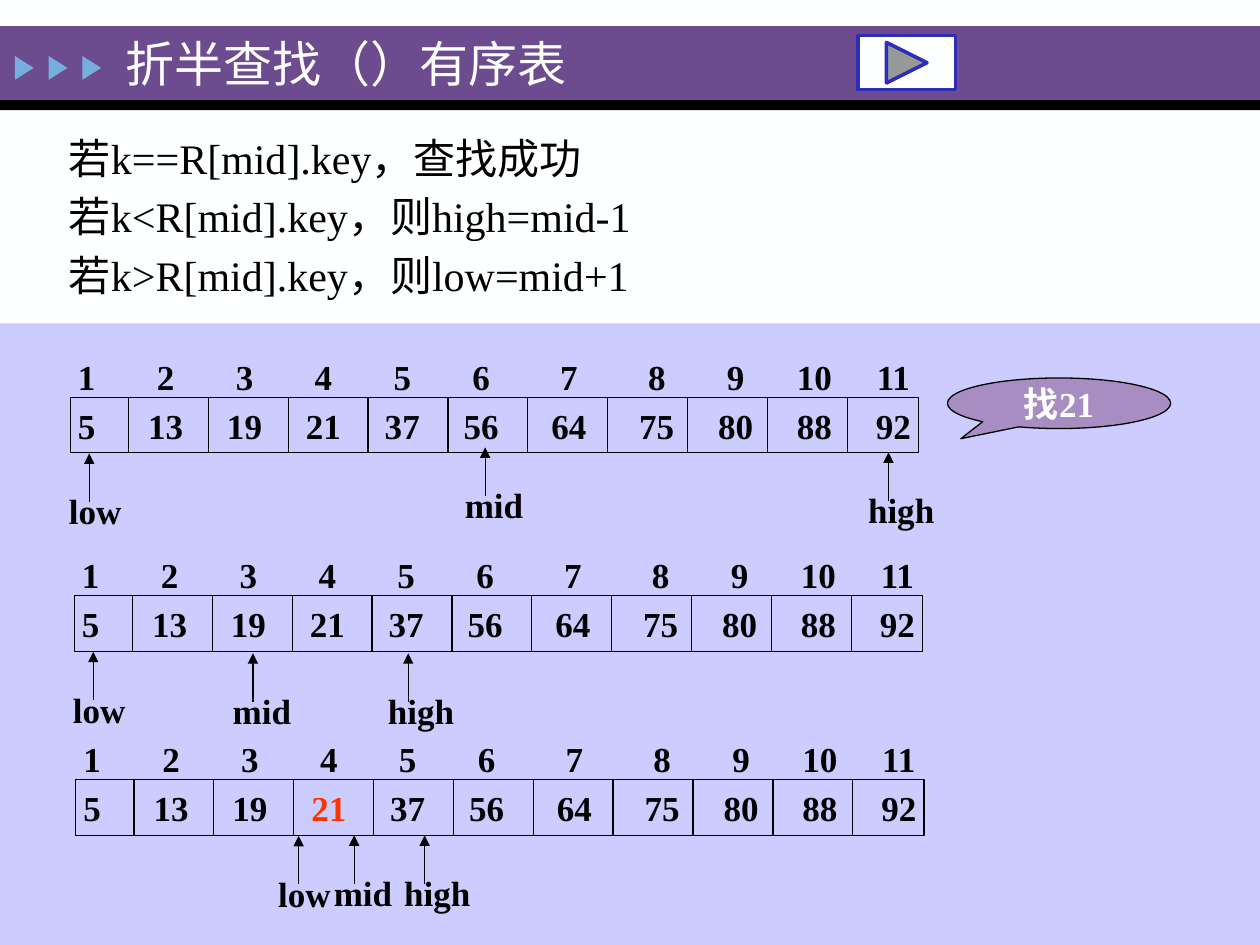
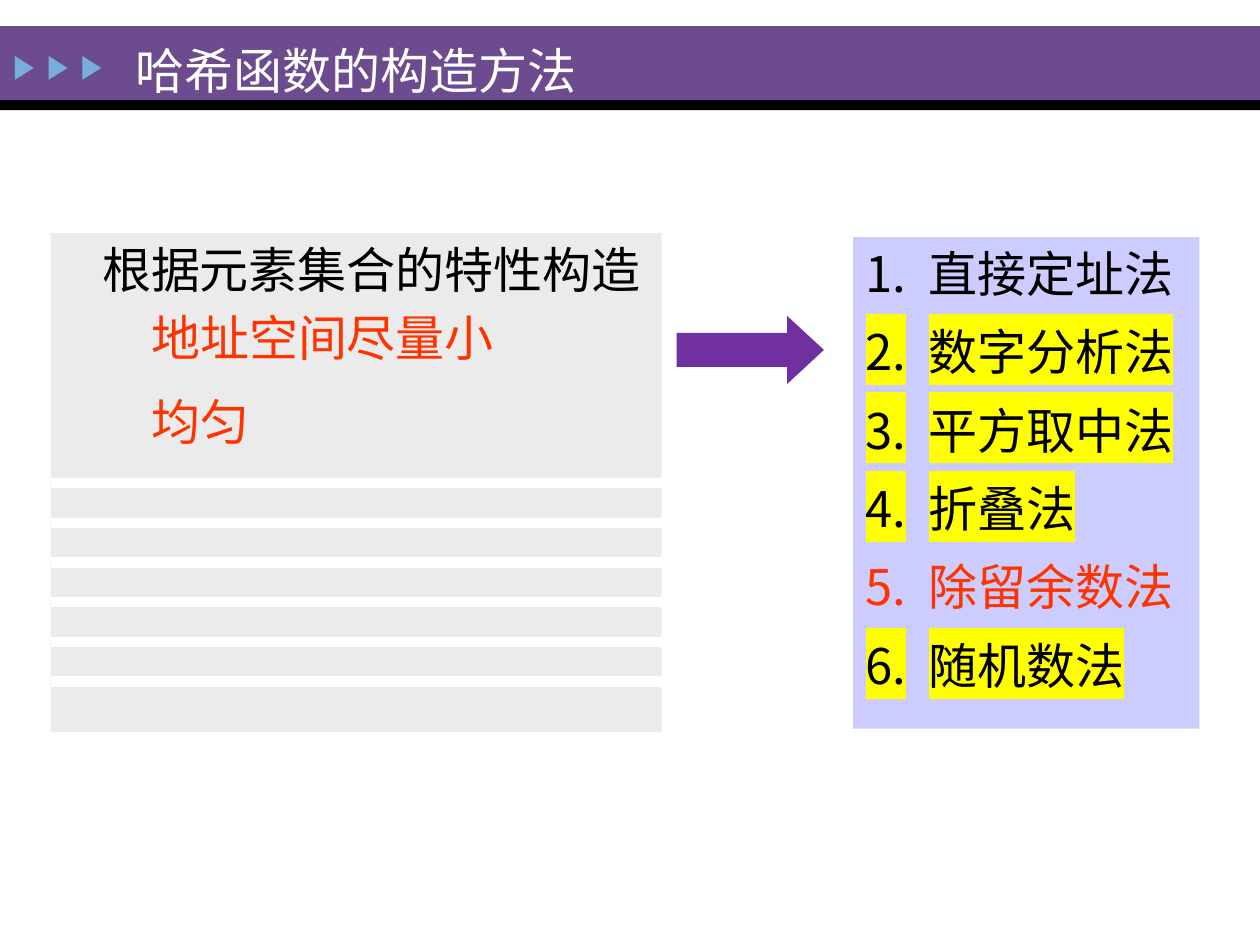
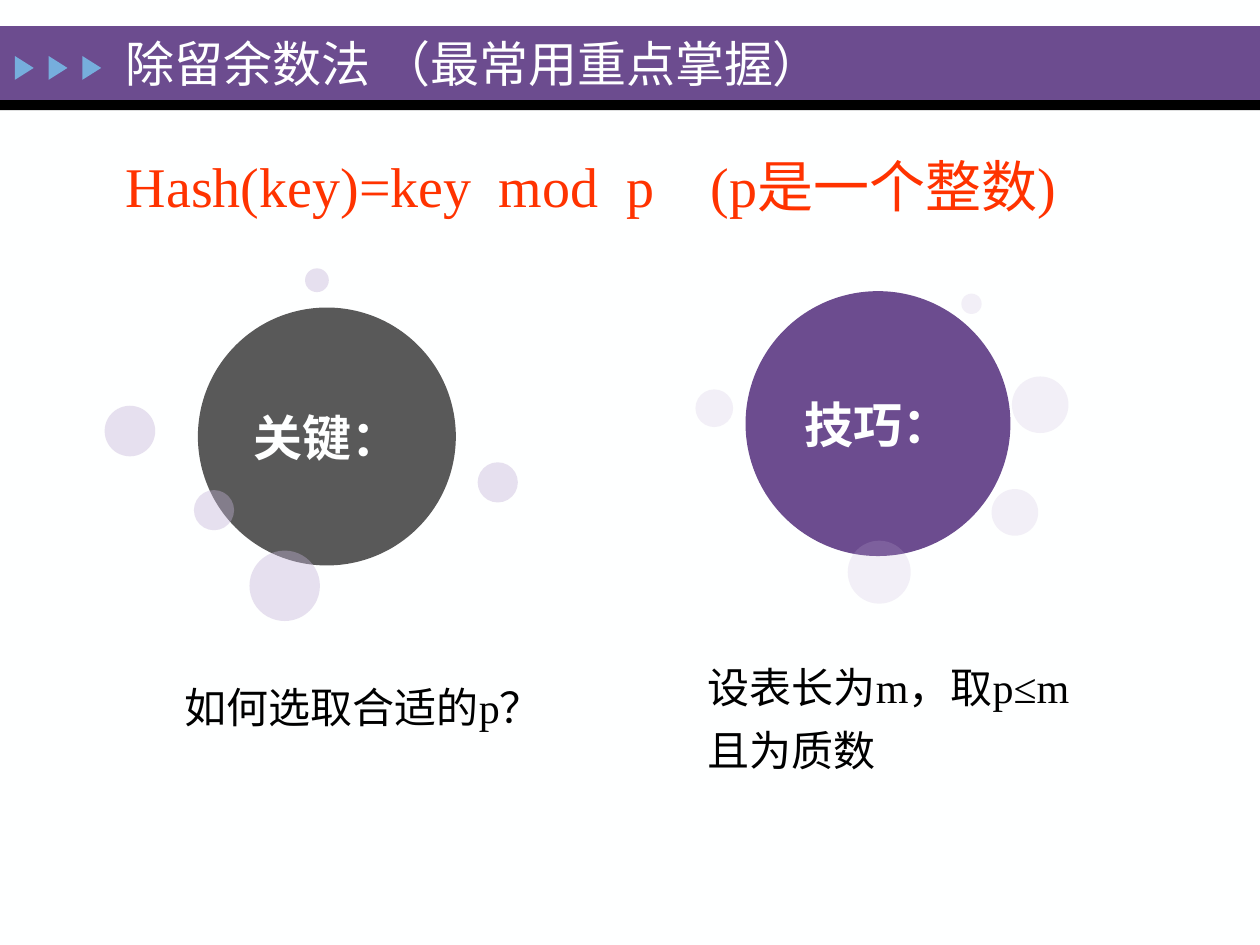
from lxml import etree
from pptx import Presentation
from pptx import util as u
from pptx.dml.color import RGBColor
from pptx.enum import shapes, text
from pptx.oxml import ns

WHITE = RGBColor(0xFE, 0xFF, 0xFF)
BLACK = RGBColor(0, 0, 0)
PURPLE = RGBColor(0x6C, 0x4C, 0x8F)
SKY = RGBColor(0x76, 0xAE, 0xDD)
LAVENDER = RGBColor(0xCC, 0xCC, 0xFF)
MAUVE = RGBColor(0xA7, 0x8D, 0xC2)
LILAC = RGBColor(0xC4, 0xB3, 0xD7)
RED = RGBColor(0xFF, 0x33, 0x00)
YELLOW = RGBColor(0xFF, 0xFF, 0x00)
PALE_GREY = RGBColor(0xEB, 0xEB, 0xEB)
DARK_GREY = RGBColor(0x59, 0x59, 0x59)
VIOLET = RGBColor(0x70, 0x30, 0xA0)
NAVY = RGBColor(0x2D, 0x2D, 0xB9)

FONT = "Times New Roman"
PRESET = shapes.MSO_SHAPE
MIDDLE = text.MSO_ANCHOR.MIDDLE
CENTER = text.PP_ALIGN.CENTER

KEYS = [5, 13, 19, 21, 37, 56, 64, 75, 80, 88, 92]
KEY_TABS = [0.18 + 1.59 * i + 0.18 * ((i > 5) + (i > 6)) for i in range(1, len(KEYS))]
LABEL_WIDTHS = {"low": 1.57, "mid": 1.68, "high": 1.85}


def add_figure(slide, preset, box, fill=None, line=None, width=0.75, alpha=None):
    figure = slide.shapes.add_shape(preset, *map(u.Cm, box))
    figure.shadow.inherit = False
    if fill is None:
        figure.fill.background()
    else:
        figure.fill.solid()
        figure.fill.fore_color.rgb = fill
    if line is None:
        figure.line.fill.background()
    else:
        figure.line.color.rgb = line
        figure.line.width = u.Pt(width)
    if alpha is not None:
        color = figure.fill._xPr.find(".//" + ns.qn("a:srgbClr"))
        etree.SubElement(color, ns.qn("a:alpha"), val=str(alpha * 1000))
    return figure


def add_line(slide, start, end, color=BLACK, width=0.75, arrow=False):
    line = slide.shapes.add_connector(
        shapes.MSO_CONNECTOR.STRAIGHT, *map(u.Cm, start + end))
    line.line.color.rgb = color
    line.line.width = u.Pt(width)
    if arrow:
        etree.SubElement(line.line._get_or_add_ln(), ns.qn("a:tailEnd"), type="triangle")
    etree.SubElement(line._element.spPr, ns.qn("a:effectLst"))


def add_text_frame(slide, box, anchor=text.MSO_ANCHOR.TOP, wrap=True):
    frame = slide.shapes.add_textbox(*map(u.Cm, box)).text_frame
    frame.word_wrap = wrap
    frame.vertical_anchor = anchor
    return frame


def write(frame, runs, size, color=BLACK, bold=False, align=text.PP_ALIGN.LEFT,
          before=0, highlight=None):
    first = not frame.paragraphs[0].runs
    paragraph = frame.paragraphs[0] if first else frame.add_paragraph()
    paragraph.alignment = align
    if before and not first:
        paragraph.space_before = u.Pt(before)
    for content, run_color in [(runs, color)] if isinstance(runs, str) else runs:
        run = paragraph.add_run()
        run.text = content
        run.font.name = FONT
        run.font.size = u.Pt(size)
        run.font.bold = bold
        run.font.color.rgb = run_color
        if highlight is not None:
            mark = etree.Element(ns.qn("a:highlight"))
            etree.SubElement(mark, ns.qn("a:srgbClr"), val=str(highlight))
            run._r.rPr.find(ns.qn("a:solidFill")).addnext(mark)
    return paragraph


def set_indent(paragraph, first_line, left=0):
    properties = paragraph._p.get_or_add_pPr()
    properties.set("marL", str(u.Cm(left)))
    properties.set("indent", str(u.Cm(first_line)))


def set_number(paragraph):
    etree.SubElement(paragraph._p.get_or_add_pPr(), ns.qn("a:buAutoNum"),
                     type="arabicPeriod")


def set_tabs(paragraph, stops, align):
    tabs = etree.SubElement(paragraph._p.get_or_add_pPr(), ns.qn("a:tabLst"))
    for stop in stops:
        etree.SubElement(tabs, ns.qn("a:tab"), pos=str(u.Cm(stop)), algn=align)


def new_slide(deck, title, left=2.29, top=0.56, width=18.6):
    slide = deck.slides.add_slide(deck.slide_layouts[6])
    add_figure(slide, PRESET.RECTANGLE, (0, 0.53, 25.4, 1.5), PURPLE)
    add_figure(slide, PRESET.RECTANGLE, (0, 2.02, 25.4, 0.2), BLACK)
    for i in range(3):
        marker = add_figure(slide, PRESET.ISOSCELES_TRIANGLE,
                            (0.25 + 0.68 * i, 1.18, 0.48, 0.38), SKY)
        marker.rotation = 90
    write(add_text_frame(slide, (left, top, width, 1.42), MIDDLE), title, 28, WHITE)
    return slide


def add_pointer(slide, label, x, tip):
    add_line(slide, (x, tip + 0.98), (x, tip), arrow=True)
    frame = add_text_frame(slide, (x - 0.66, tip + 0.61, LABEL_WIDTHS[label], 1.1),
                           wrap=False)
    write(frame, label, 20, bold=True)


def add_search_step(slide, left, top, pointers, found=None):
    indices = add_text_frame(slide, (left - 0.1, top - 0.97, 17.8, 1.1))
    numbers = "\t".join(str(i + 1) for i in range(len(KEYS)))
    set_tabs(write(indices, numbers, 20, bold=True), KEY_TABS, "ctr")

    row = add_figure(slide, PRESET.RECTANGLE, (left, top, 17.1, 1.12), line=BLACK)
    cells = row.text_frame
    cells.margin_left = u.Cm(0.15)
    cells.margin_right = 0
    cells.vertical_anchor = MIDDLE
    runs = [(("\t" if i else "") + str(key), RED if key == found else BLACK)
            for i, key in enumerate(KEYS)]
    set_tabs(write(cells, runs, 20, bold=True), KEY_TABS, "ctr")
    for i in range(len(KEYS) - 1):
        x = left + 1.17 + 1.61 * i
        add_line(slide, (x, top), (x, top + 1.13))

    for label, x, tip in pointers:
        add_pointer(slide, label, x, tip)


def add_bubbles(slide, caption, circle, fill, satellites, alpha):
    x, y, size = circle
    frame = add_figure(slide, PRESET.OVAL, (x, y, size, size), fill).text_frame
    frame.margin_left = frame.margin_right = frame.margin_top = frame.margin_bottom = 0
    frame.word_wrap = False
    frame.vertical_anchor = MIDDLE
    write(frame, caption, 28, WHITE, bold=True, align=CENTER)
    for x, y, size in satellites:
        add_figure(slide, PRESET.OVAL, (x, y, size, size), LILAC, alpha=alpha)


def build_binary_search(deck):
    slide = new_slide(deck, "折半查找（）有序表", width=13.97)
    add_figure(slide, PRESET.RECTANGLE, (0, 6.52, 25.4, 12.53), LAVENDER)
    add_search_step(slide, 1.42, 8.01,
                    [("low", 1.8, 9.14), ("mid", 9.78, 9.02), ("high", 17.91, 9.12)])
    add_search_step(slide, 1.5, 12.01,
                    [("low", 1.88, 13.14), ("mid", 5.1, 13.17), ("high", 8.23, 13.17)])
    add_search_step(slide, 1.53, 15.72,
                    [("low", 6.02, 16.85), ("mid", 7.14, 16.84), ("high", 8.56, 16.84)],
                    found=21)

    target = add_figure(slide, PRESET.OVAL_CALLOUT, (19.1, 7.62, 4.5, 1.02), MAUVE, BLACK)
    target.adjustments[0] = -0.44
    target.adjustments[1] = 0.7
    target.text_frame.word_wrap = False
    target.text_frame.vertical_anchor = MIDDLE
    write(target.text_frame, "找21", 20, WHITE, bold=True, align=CENTER)

    rules = add_text_frame(slide, (1.14, 2.41, 23.01, 3.89), MIDDLE)
    for rule in ("若k==R[mid].key，查找成功",
                 "若k<R[mid].key，则high=mid-1",
                 "若k>R[mid].key，则low=mid+1"):
        write(rules, rule, 24, before=4.8)
    add_figure(slide, PRESET.ACTION_BUTTON_FORWARD_OR_NEXT, (17.3, 0.72, 1.96, 1.09),
               WHITE, NAVY, 2)


def build_hash_methods(deck):
    slide = new_slide(deck, "哈希函数的构造方法", 2.49, 0.71, 11.96)
    goals = add_figure(slide, PRESET.RECTANGLE, (1.02, 4.7, 12.32, 10.06),
                       PALE_GREY).text_frame
    goals.vertical_anchor = text.MSO_ANCHOR.TOP
    for goal, color, indent, before in (("根据元素集合的特性构造", BLACK, 0.79, 0),
                                        ("地址空间尽量小", RED, 1.78, 5.6),
                                        ("均匀", RED, 1.78, 14)):
        set_indent(write(goals, goal, 28, color, before=before), indent)

    methods = add_figure(slide, PRESET.RECTANGLE, (17.2, 4.78, 6.98, 9.91),
                         LAVENDER).text_frame
    methods.vertical_anchor = text.MSO_ANCHOR.TOP
    for method, color, highlight in (("直接定址法", BLACK, None),
                                     ("数字分析法", BLACK, YELLOW),
                                     ("平方取中法", BLACK, YELLOW),
                                     ("折叠法", BLACK, YELLOW),
                                     ("除留余数法", RED, None),
                                     ("随机数法", BLACK, YELLOW)):
        item = write(methods, method, 28, color, before=11.2, highlight=highlight)
        set_indent(item, -1.27, 1.27)
        set_number(item)

    arrow = add_figure(slide, PRESET.RIGHT_ARROW, (13.64, 6.37, 2.97, 1.37), VIOLET)
    arrow.adjustments[1] = 0.54
    for i in range(6):
        y = 9.74 + 0.8 * i
        add_line(slide, (1.02, y), (13.34, y), WHITE, 6)


def build_division_method(deck):
    slide = new_slide(deck, "除留余数法 （最常用重点掌握）")
    formula = add_text_frame(slide, (2.29, 2.92, 23.01, 1.63))
    set_tabs(write(formula, "Hash(key)=key\tmod\tp\t(p是一个整数)", 32, RED),
             (7.52, 10.1, 11.79), "l")
    for note, box in (("如何选取合适的p？", (3.48, 13.36, 7.92, 1.55)),
                      ("设表长为m，取p≤m且为质数", (14.02, 12.95, 7.85, 2.82))):
        write(add_text_frame(slide, box), note, 24).line_spacing = 1.25

    add_bubbles(slide, "技巧：", (15.03, 5.87, 5.34), PURPLE,
                [(14.02, 7.85, 0.76), (17.09, 10.9, 1.27), (19.38, 5.92, 0.41),
                 (19.99, 9.86, 0.94), (20.4, 7.59, 1.14)], 20)
    add_bubbles(slide, "关键：", (3.99, 6.2, 5.2), DARK_GREY,
                [(9.63, 9.32, 0.81), (3.91, 9.88, 0.81), (5.03, 11.1, 1.42),
                 (6.15, 5.41, 0.48), (2.11, 8.18, 1.02)], 40)


def main():
    deck = Presentation()
    deck.slide_width = u.Cm(25.4)
    deck.slide_height = u.Cm(19.05)
    backdrop = deck.slide_master.background.fill
    backdrop.solid()
    backdrop.fore_color.rgb = WHITE
    build_binary_search(deck)
    build_hash_methods(deck)
    build_division_method(deck)
    deck.save("out.pptx")


if __name__ == "__main__":
    main()
